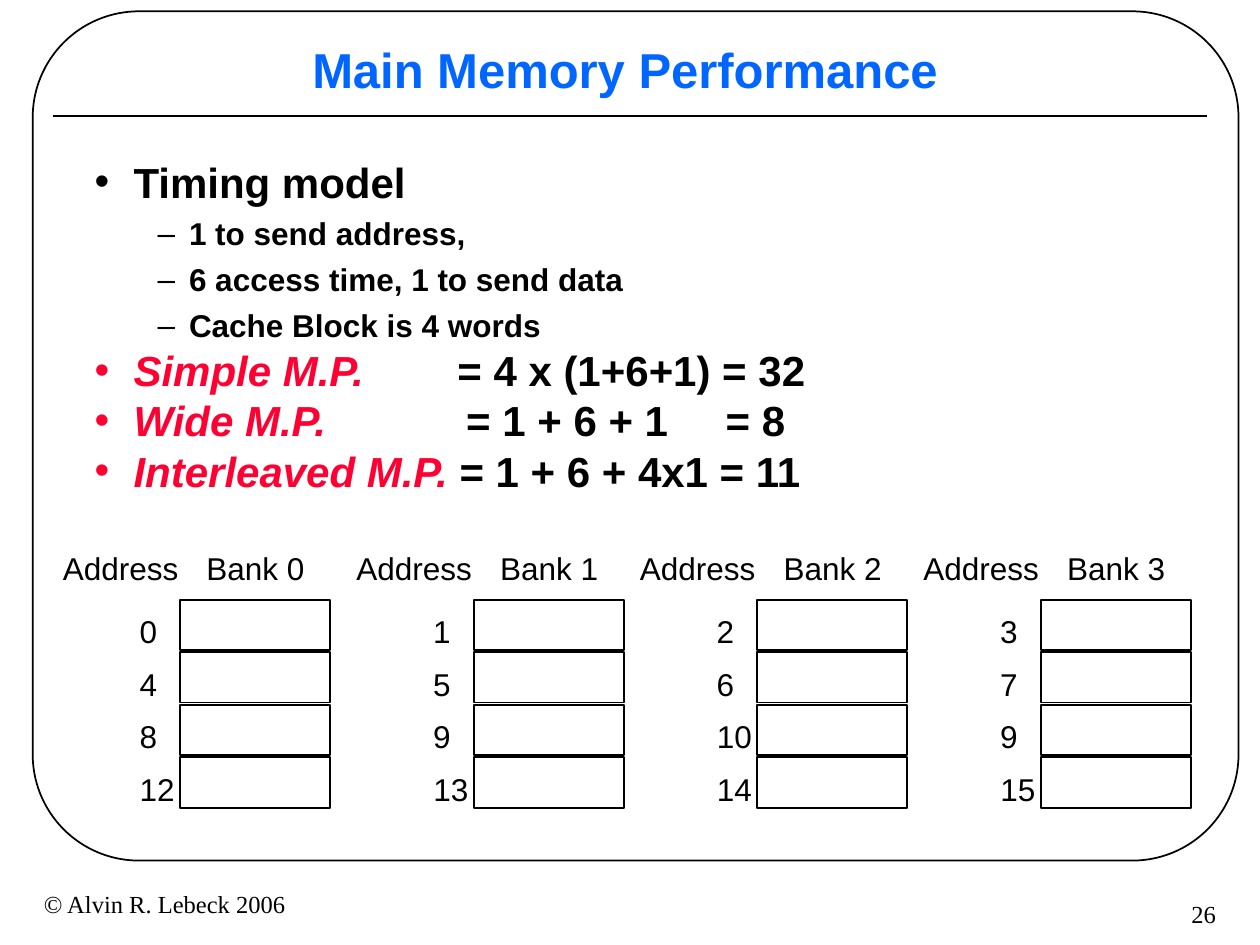
import pptx
import pptx.util
import pptx.dml.color
import pptx.enum.shapes
import pptx.enum.text
import pptx.oxml.ns
import lxml.etree

Inches, Pt = pptx.util.Inches, pptx.util.Pt
SHAPES = pptx.enum.shapes.MSO_SHAPE
ALIGN = pptx.enum.text.PP_ALIGN
ANCHOR = pptx.enum.text.MSO_ANCHOR
qn = pptx.oxml.ns.qn

# Content
COLORS = {"ink": "000000", "title": "0066FF", "accent": "FF0033", "cell": "FFFFFF"}
TITLE = "Main Memory Performance"
TIMING = "Timing model"
TIMING_DETAILS = [
    "1 to send address,",
    "6 access time, 1 to send data",
    "Cache Block is 4 words",
]
# Organization, cost formula, tab stops in inches
COSTS = [
    ("Simple M.P.", "\t= 4 x (1+6+1) = 32", [2.88]),
    ("Wide M.P.", "\t= 1 + 6 + 1\t= 8", [2.95, 5.01]),
    ("Interleaved M.P.", " = 1 + 6 + 4x1 = 11", []),
]
# Bank name, left edge of the bank, addresses
BANKS = [
    ("Bank 0", 0.4, [0, 4, 8, 12]),
    ("Bank 1", 2.73, [1, 5, 9, 13]),
    ("Bank 2", 4.98, [2, 6, 10, 14]),
    ("Bank 3", 7.23, [3, 7, 9, 15]),
]
FOOTER = "© Alvin R. Lebeck 2006"
PAGE = "26"
ROW_PITCH = 0.417


def rgb(name):
    return pptx.dml.color.RGBColor.from_string(COLORS[name])


def box(left, top, width, height):
    return [Inches(v) for v in (left, top, width, height)]


def write(paragraph, text, size=18, color="ink", font="Arial", bold=False,
          italic=False, align=ALIGN.LEFT, spacing=1.0, before=0):
    paragraph.alignment = align
    paragraph.line_spacing = spacing
    paragraph.space_before = Pt(before)
    run = paragraph.add_run()
    run.text = text
    run.font.size, run.font.name = Pt(size), font
    run.font.bold, run.font.italic = bold, italic
    run.font.color.rgb = rgb(color)


def set_bullet(paragraph, char, color, margin, hanging, tabs=()):
    props = paragraph._p.get_or_add_pPr()
    props.set("marL", str(Inches(margin)))
    props.set("indent", str(-Inches(hanging)))
    bullet_color = lxml.etree.SubElement(props, qn("a:buClr"))
    lxml.etree.SubElement(bullet_color, qn("a:srgbClr"), val=COLORS[color])
    lxml.etree.SubElement(props, qn("a:buFont"), typeface="Arial")
    lxml.etree.SubElement(props, qn("a:buChar"), char=char)
    if tabs:
        stops = lxml.etree.SubElement(props, qn("a:tabLst"))
        for stop in tabs:
            lxml.etree.SubElement(stops, qn("a:tab"), pos=str(Inches(stop)), algn="l")


def place(placeholder, area, anchor):
    placeholder.left, placeholder.top, placeholder.width, placeholder.height = area
    frame = placeholder.text_frame
    frame.word_wrap = True
    frame.auto_size = pptx.enum.text.MSO_AUTO_SIZE.NONE
    frame.vertical_anchor = anchor
    return frame


def add_label(shapes, text, area, anchor=ANCHOR.TOP, **style):
    frame = shapes.add_textbox(*area).text_frame
    frame.word_wrap = False
    frame.vertical_anchor = anchor
    write(frame.paragraphs[0], text, **style)


def add_outline(shapes, kind, area, fill=None):
    shape = shapes.add_shape(kind, *area)
    shape.shadow.inherit = False
    if fill:
        shape.fill.solid()
        shape.fill.fore_color.rgb = rgb(fill)
    else:
        shape.fill.background()
    shape.line.color.rgb = rgb("ink")
    shape.line.width = Pt(1)
    return shape


def add_bank(slide, name, left, addresses):
    shapes = slide.shapes.add_group_shape().shapes
    for row in range(len(addresses)):
        add_outline(shapes, SHAPES.RECTANGLE,
                    box(left + 1.03, 4.76 + row * ROW_PITCH, 1.19, 0.4), "cell")
    add_label(shapes, "Address", box(left, 4.31, 1.12, 0.4))
    add_label(shapes, name, box(left + 1.14, 4.31, 0.98, 0.4))
    for row, address in enumerate(addresses):
        width = 0.34 if address < 10 else 0.48
        add_label(shapes, str(address),
                  box(left + 0.61, 4.81 + row * ROW_PITCH, width, 0.4))


def main():
    deck = pptx.Presentation()
    deck.slide_width, deck.slide_height = Inches(10), Inches(7.5)
    slide = deck.slides.add_slide(deck.slide_layouts[1])

    # Frame, rule and footer
    frame = add_outline(slide.shapes, SHAPES.ROUNDED_RECTANGLE, box(0.26, 0.09, 9.57, 6.74))
    frame.adjustments[0] = 0.125
    rule = slide.shapes.add_connector(pptx.enum.shapes.MSO_CONNECTOR.STRAIGHT,
                                      *box(0.42, 0.92, 9.58, 0.92))
    rule.line.color.rgb = rgb("ink")
    rule.line.width = Pt(1)
    lxml.etree.SubElement(rule._element.spPr, qn("a:effectLst"))
    small = {"size": 14, "font": "Times New Roman", "anchor": ANCHOR.MIDDLE}
    add_label(slide.shapes, PAGE, box(9.25, 7, 0.5, 0.5), align=ALIGN.RIGHT, **small)
    add_label(slide.shapes, FOOTER, box(0.25, 6.92, 2.33, 0.5), **small)

    # Title
    title = place(slide.shapes.title, box(0.25, 0.08, 9.42, 1), ANCHOR.MIDDLE)
    write(title.paragraphs[0], TITLE, size=28, color="title", bold=True,
          align=ALIGN.CENTER, spacing=0.9)

    # Timing model and costs
    body = place(slide.placeholders[1], box(0.65, 1.19, 7.83, 2.81), ANCHOR.TOP)
    heading = body.paragraphs[0]
    write(heading, TIMING, size=24, bold=True)
    set_bullet(heading, "•", "ink", 0.31, 0.31)
    for detail in TIMING_DETAILS:
        item = body.add_paragraph()
        item.level = 1
        write(item, detail, bold=True, spacing=0.9, before=6.8)
        set_bullet(item, "–", "ink", 0.75, 0.25)
    for organization, formula, tabs in COSTS:
        item = body.add_paragraph()
        write(item, organization, size=24, color="accent", bold=True, italic=True)
        write(item, formula, size=24, bold=True)
        set_bullet(item, "•", "accent", 0.31, 0.31, tabs)

    # Memory banks
    for name, left, addresses in BANKS:
        add_bank(slide, name, left, addresses)

    deck.save("out.pptx")


if __name__ == "__main__":
    main()
